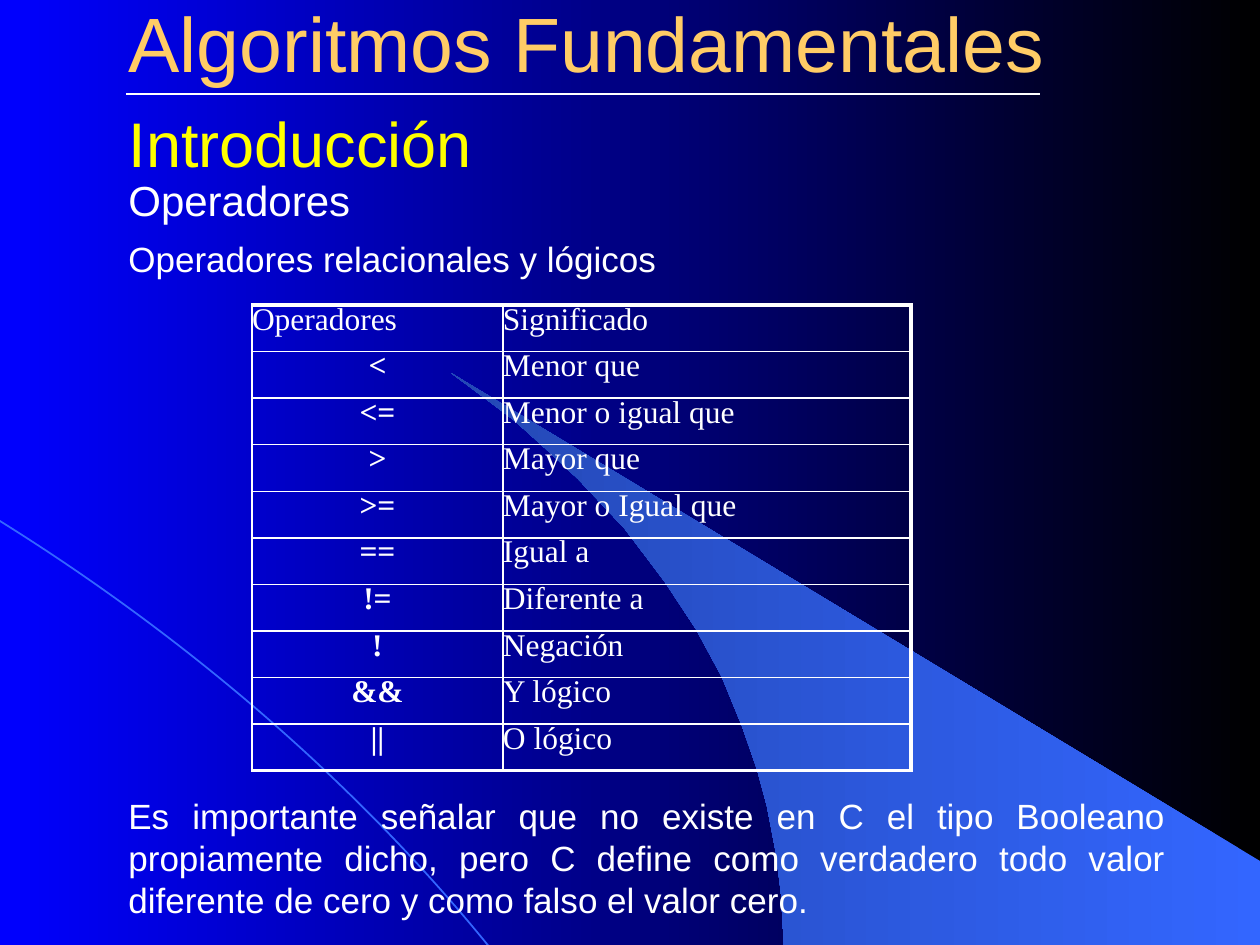
import dataclasses

import lxml.etree
import pptx
import pptx.dml.color
import pptx.enum.shapes
import pptx.enum.text
import pptx.oxml
import pptx.oxml.ns
import pptx.util

ALIGN = pptx.enum.text.PP_ALIGN
ANCHOR = pptx.enum.text.MSO_ANCHOR
CONNECTOR = pptx.enum.shapes.MSO_CONNECTOR


@dataclasses.dataclass(frozen=True)
class Theme:
    white: str = "FFFFFF"
    gold: str = "FFCC66"
    yellow: str = "FFFF00"
    black: str = "000000"
    blue: str = "0000FF"
    sky: str = "3366FF"
    deep: str = "2448B4"
    sans: str = "Arial"
    serif: str = "Times New Roman"
    title: int = 44
    heading: int = 36
    topic: int = 24
    body: int = 20
    cell: int = 18
    thin: float = 1
    thick: float = 2.25


THEME = Theme()

OPERATORS = [
    ("Operadores", "Significado"),
    ("<", "Menor que"),
    ("<=", "Menor o igual que"),
    (">", "Mayor que"),
    (">=", "Mayor o Igual que"),
    ("==", "Igual a"),
    ("!=", "Diferente a"),
    ("!", "Negación"),
    ("&&", "Y lógico"),
    ("||", "O lógico"),
]

FAN = [
    (784, 945), (1260, 945), (1260, 861), (451, 373), (486, 399), (515, 421),
    (547, 450), (578, 479), (625, 529), (665, 582), (696, 629), (722, 677),
    (742, 726), (757, 769), (767, 806), (776, 853), (781, 893),
]


def px(count):
    return pptx.util.Emu(round(count * 914400 / 126))


def color(value):
    return pptx.dml.color.RGBColor.from_string(value)


def fill_gradient(fill, right, left):
    fill.gradient()
    fill.gradient_angle = 180
    for stop, position, value in zip(fill.gradient_stops, (0, 1), (right, left)):
        stop.position = position
        stop.color.rgb = color(value)


def write(frame, text, size, value, font=THEME.sans, align=ALIGN.LEFT, spacing=1.0, bold=False):
    frame.word_wrap = True
    para = frame.paragraphs[0]
    para.alignment = align
    para.line_spacing = spacing
    para.space_before = pptx.util.Pt(0)
    span = para.add_run()
    span.text = text
    span.font.size = pptx.util.Pt(size)
    span.font.name = font
    span.font.bold = bold
    span.font.color.rgb = color(value)


def fill_placeholder(box, area, text, size, value, anchor, spacing=1.0):
    box.left, box.top, box.width, box.height = map(px, area)
    box.text_frame.auto_size = pptx.enum.text.MSO_AUTO_SIZE.NONE
    box.text_frame.vertical_anchor = anchor
    write(box.text_frame, text, size, value, spacing=spacing)


def add_text(page, area, text, size, align=ALIGN.LEFT):
    box = page.shapes.add_textbox(*map(px, area))
    write(box.text_frame, text, size, THEME.white, align=align)


def add_line(page, kind, start, end, value):
    line = page.shapes.add_connector(kind, *map(px, start + end))
    line.line.color.rgb = color(value)
    line.line.width = pptx.util.Pt(THEME.thin)
    lxml.etree.SubElement(line._element.spPr, pptx.oxml.ns.qn("a:effectLst"))
    return line


def add_backdrop(page):
    fill_gradient(page.background.fill, THEME.black, THEME.blue)
    builder = page.shapes.build_freeform(*FAN[0], scale=914400 / 126)
    builder.add_line_segments(FAN[1:], close=True)
    fan = builder.convert_to_shape()
    fan.shadow.inherit = False
    fill_gradient(fan.fill, THEME.sky, THEME.deep)
    fan.line.fill.background()
    arc = add_line(page, CONNECTOR.CURVE, (-1068, 202), (785, 1690), THEME.sky)
    arc._element.spPr.find(pptx.oxml.ns.qn("a:prstGeom")).set("prst", "curvedConnector2")
    tree = page.shapes._spTree
    for index, shape in enumerate((fan, arc)):
        tree.remove(shape._element)
        tree.insert(2 + index, shape._element)


def set_border(cell, side, width):
    border = pptx.oxml.parse_xml(
        f'<a:{side} {pptx.oxml.ns.nsdecls("a")} w="{pptx.util.Pt(width)}">'
        f'<a:solidFill><a:srgbClr val="{THEME.white}"/></a:solidFill></a:{side}>'
    )
    cell._tc.get_or_add_tcPr().append(border)


def add_operator_table(page):
    columns = (251, 408)
    height = 466
    count = len(OPERATORS)
    table = page.shapes.add_table(
        count, len(columns), px(252), px(305), px(sum(columns)), px(height)
    ).table
    table.first_row = table.horz_banding = False
    for column, width in zip(table.columns, columns):
        column.width = px(width)
    for row_index, values in enumerate(OPERATORS):
        table.rows[row_index].height = px(height / count)
        for column_index, text in enumerate(values):
            cell = table.cell(row_index, column_index)
            cell.margin_left = cell.margin_right = cell.margin_top = cell.margin_bottom = 0
            symbol = row_index > 0 and column_index == 0
            write(cell.text_frame, text, THEME.cell, THEME.white, THEME.serif,
                  ALIGN.CENTER if symbol else ALIGN.LEFT, 0.9, symbol)
            outer = {"lnL": False, "lnR": column_index == len(columns) - 1,
                     "lnT": row_index == 0, "lnB": row_index == count - 1}
            for side, thick in outer.items():
                set_border(cell, side, THEME.thick if thick else THEME.thin)
            cell.fill.background()


def main():
    deck = pptx.Presentation()
    deck.slide_width, deck.slide_height = px(1260), px(945)
    page = deck.slides.add_slide(deck.slide_layouts[0])
    add_backdrop(page)
    fill_placeholder(page.shapes.title, (116, 21, 1071, 73), "Algoritmos Fundamentales",
                     THEME.title, THEME.gold, ANCHOR.BOTTOM)
    fill_placeholder(page.placeholders[1], (116, 116, 1071, 53), "Introducción",
                     THEME.heading, THEME.yellow, ANCHOR.TOP, 0.75)
    add_line(page, CONNECTOR.STRAIGHT, (126, 94), (1040, 94), THEME.white)
    add_text(page, (116, 168, 247, 63), "Operadores", THEME.topic)
    add_text(page, (116, 231, 1062, 54), "Operadores relacionales y lógicos",
             THEME.body, ALIGN.JUSTIFY)
    add_operator_table(page)
    add_text(page, (116, 788, 1062, 139),
             "Es importante señalar que no existe en C el tipo Booleano propiamente dicho, "
             "pero C define como verdadero todo valor diferente de cero y como falso el valor cero.",
             THEME.body, ALIGN.JUSTIFY)
    deck.save("out.pptx")


main()
